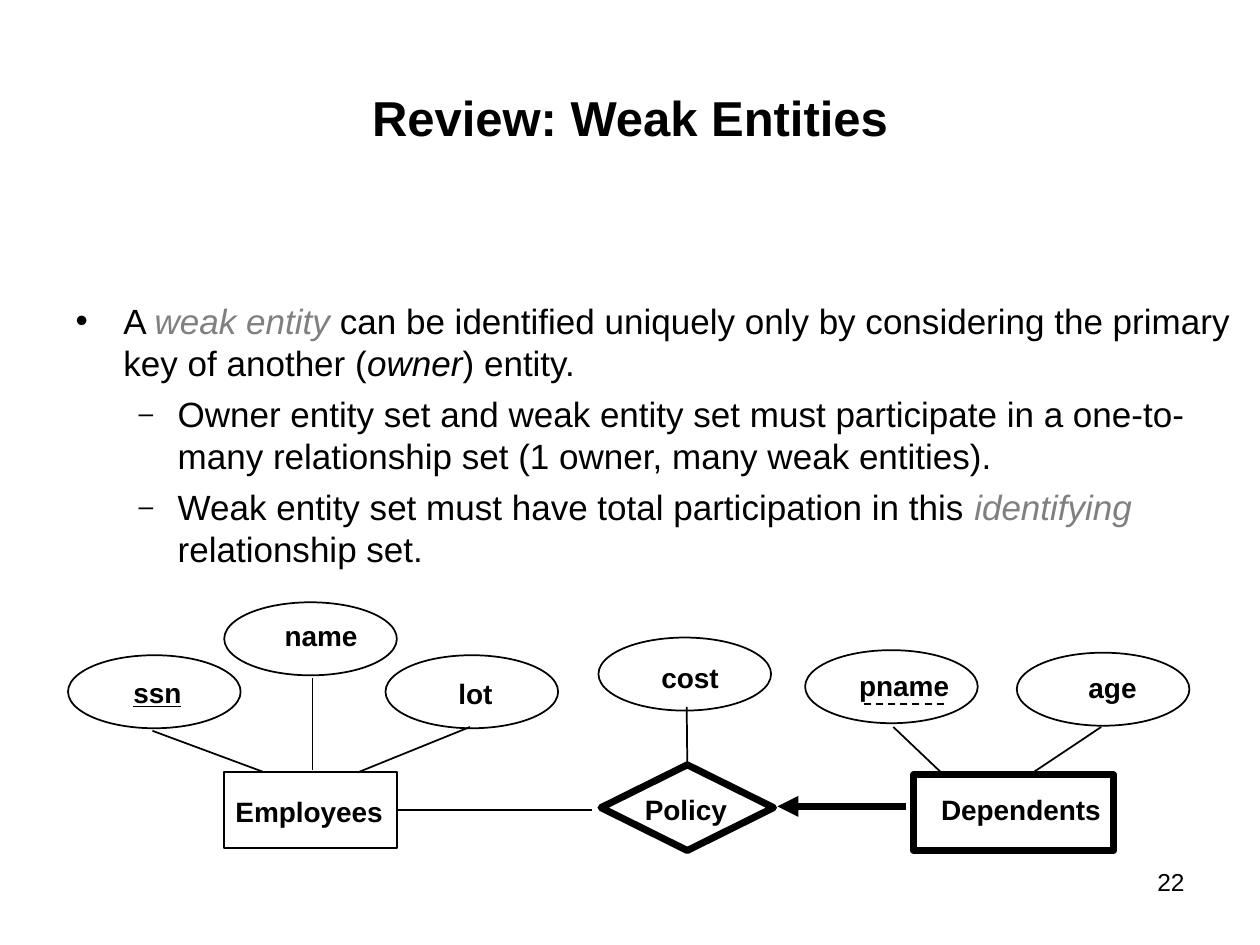
from lxml import etree
from pptx import Presentation
from pptx import util as u
from pptx.dml.color import RGBColor
from pptx.enum import dml, shapes, text
from pptx.oxml.ns import qn

Inches, Pt = u.Inches, u.Pt
COLORS = {"ink": "000000", "term": "808080"}
FONT = "Arial"
SHAPE = shapes.MSO_SHAPE
ATTRIBUTE_SIZE = (1.37, 0.58)

# label, left, top of each oval; left, top, width of its label
ATTRIBUTES = [
    ("ssn", 0.54, 5.2, 0.96, 5.31, 0.62),
    ("name", 1.78, 4.78, 2.16, 4.86, 0.82),
    ("lot", 3.06, 5.2, 3.54, 5.32, 0.52),
    ("cost", 4.75, 5.06, 5.15, 5.19, 0.7),
    ("pname", 6.39, 5.16, 6.72, 5.26, 0.96),
    ("age", 8.07, 5.18, 8.54, 5.27, 0.62),
]
ATTRIBUTE_LINKS = [
    (1.21, 5.8, 2.1, 6.13),
    (2.48, 5.38, 2.48, 6.11),
    (3.73, 5.77, 2.84, 6.13),
    (7.09, 5.77, 7.49, 6.15),
    (8.74, 5.77, 8.17, 6.15),
]
# level, runs of (text, italic, colour)
BULLETS = [
    (0, [("A ", False, "ink"), ("weak entity ", True, "term"),
         ("can be identified uniquely only by considering the primary "
          "key of another (", False, "ink"),
         ("owner", True, "ink"), (") entity.", False, "ink")]),
    (1, [("Owner entity set and weak entity set must participate in a "
          "one-to-many relationship set (1 owner, many weak entities).",
          False, "ink")]),
    (1, [("Weak entity set must have total participation in this ",
          False, "ink"),
         ("identifying ", True, "term"), ("relationship set.", False, "ink")]),
]
# bullet, size in percent, left margin, hanging indent
BULLET_STYLES = [("•", 100, 0.38, 0.38), ("–", 75, 0.81, 0.31)]


def rgb(name):
    return RGBColor.from_string(COLORS[name])


def format_font(font, size, bold=False, italic=False, color="ink"):
    font.name, font.size = FONT, Pt(size)
    font.bold, font.italic = bold, italic
    font.color.rgb = rgb(color)


def place(shape, left, top, width, height):
    shape.left, shape.top = Inches(left), Inches(top)
    shape.width, shape.height = Inches(width), Inches(height)


def fill_title(title):
    place(title, 0.5, 0.3, 9, 1.25)
    title.text_frame.text = "Review: Weak Entities"
    title.text_frame.vertical_anchor = text.MSO_ANCHOR.MIDDLE
    paragraph = title.text_frame.paragraphs[0]
    paragraph.alignment = text.PP_ALIGN.CENTER
    format_font(paragraph.runs[0].font, 28, bold=True)


def set_bullet(paragraph, level):
    character, percent, margin, hanging = BULLET_STYLES[level]
    paragraph.level = level
    properties = paragraph._p.get_or_add_pPr()
    properties.set("marL", str(Inches(margin)))
    properties.set("indent", str(-Inches(hanging)))
    color = etree.SubElement(properties, qn("a:buClr"))
    etree.SubElement(color, qn("a:srgbClr"), val=COLORS["ink"])
    etree.SubElement(properties, qn("a:buSzPct"), val=str(percent * 1000))
    etree.SubElement(properties, qn("a:buFont"), typeface=FONT)
    etree.SubElement(properties, qn("a:buChar"), char=character)


def fill_body(body):
    place(body, 0.5, 2.33, 9.42, 4.83)
    frame = body.text_frame
    frame.auto_size = text.MSO_AUTO_SIZE.NONE
    for index, (level, runs) in enumerate(BULLETS):
        paragraph = frame.add_paragraph() if index else frame.paragraphs[0]
        set_bullet(paragraph, level)
        paragraph.space_before = Pt(5 if index else 0)
        for words, italic, color in runs:
            run = paragraph.add_run()
            run.text = words
            format_font(run.font, 20, italic=italic, color=color)


def add_outline(slide, kind, left, top, width, height, weight=1):
    shape = slide.shapes.add_shape(
        kind, Inches(left), Inches(top), Inches(width), Inches(height))
    shape.shadow.inherit = False
    shape.fill.background()
    shape.line.color.rgb = rgb("ink")
    shape.line.width = Pt(weight)
    return shape


def add_label(slide, words, left, top, width):
    box = slide.shapes.add_textbox(
        Inches(left), Inches(top), Inches(width), Inches(0.36))
    frame = box.text_frame
    frame.text = words
    frame.word_wrap = False
    frame.auto_size = text.MSO_AUTO_SIZE.NONE
    font = frame.paragraphs[0].runs[0].font
    format_font(font, 16, bold=True)
    frame.paragraphs[0].alignment = text.PP_ALIGN.LEFT
    return font


def add_line(slide, x1, y1, x2, y2, weight=1):
    line = slide.shapes.add_connector(
        shapes.MSO_CONNECTOR.STRAIGHT,
        Inches(x1), Inches(y1), Inches(x2), Inches(y2))
    line.line.color.rgb = rgb("ink")
    line.line.width = Pt(weight)
    etree.SubElement(line._element.spPr, qn("a:effectLst"))
    return line


def add_attributes(slide):
    for name, left, top, label_left, label_top, label_width in ATTRIBUTES:
        add_outline(slide, SHAPE.OVAL, left, top, *ATTRIBUTE_SIZE)
        font = add_label(slide, name, label_left, label_top, label_width)
        font.underline = name == "ssn"
    for ends in ATTRIBUTE_LINKS:
        add_line(slide, *ends)
    partial_key = add_line(slide, 7.49, 5.59, 6.82, 5.59)
    partial_key.line.dash_style = dml.MSO_LINE.DASH


def add_relationship(slide):
    """Draw both entity sets and the relationship set between them."""
    employees = add_outline(slide, SHAPE.RECTANGLE, 1.78, 6.13, 1.37, 0.6)
    policy = add_outline(slide, SHAPE.DIAMOND, 4.77, 6.07, 1.37, 0.68, 4)
    add_outline(slide, SHAPE.RECTANGLE, 7.25, 6.15, 1.59, 0.6, 4)
    add_label(slide, "Employees", 1.77, 6.26, 1.42)
    add_label(slide, "Policy", 5.02, 6.24, 0.9)
    add_label(slide, "Dependents", 7.37, 6.24, 1.52)

    add_line(slide, 3.15, 6.43, 4.7, 6.43).begin_connect(employees, 3)
    add_line(slide, 5.45, 6.07, 5.45, 5.61).begin_connect(policy, 0)
    arrow = add_line(slide, 6.17, 6.4, 7.19, 6.4, 4)
    etree.SubElement(arrow.line._get_or_add_ln(), qn("a:headEnd"),
                     type="triangle")


def add_slide_number(slide):
    box = slide.shapes.add_textbox(
        Inches(7.17), Inches(6.83), Inches(2.33), Inches(0.52))
    box.text_frame.word_wrap = True
    box.text_frame.text = "22"
    paragraph = box.text_frame.paragraphs[0]
    paragraph.alignment = text.PP_ALIGN.RIGHT
    format_font(paragraph.runs[0].font, 14)


def main():
    presentation = Presentation()
    presentation.slide_width = Inches(10)
    presentation.slide_height = Inches(7.5)
    slide = presentation.slides.add_slide(presentation.slide_layouts[1])
    fill_title(slide.shapes.title)
    fill_body(slide.placeholders[1])
    add_attributes(slide)
    add_relationship(slide)
    add_slide_number(slide)
    presentation.save("out.pptx")


if __name__ == "__main__":
    main()
